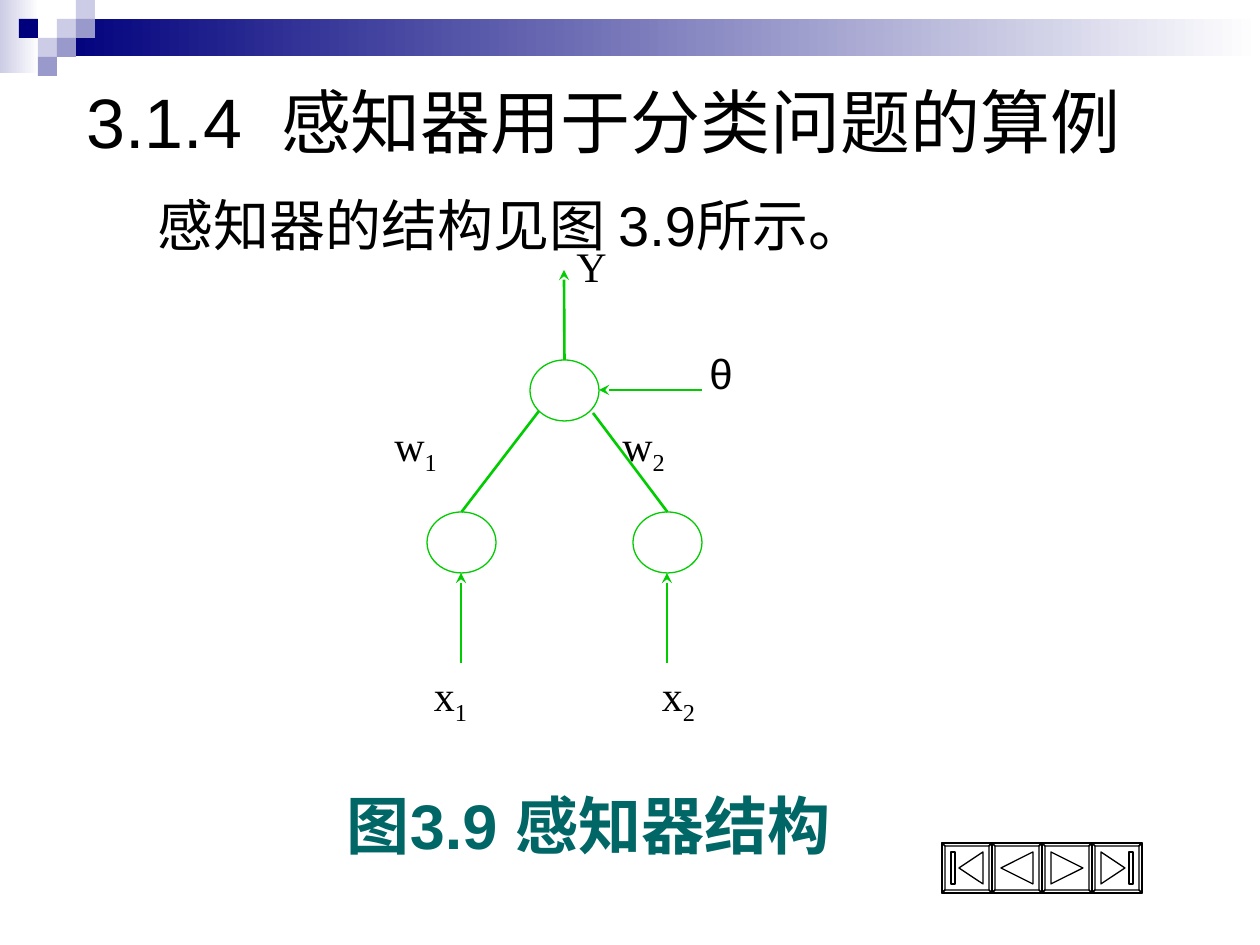
from pptx import Presentation
from pptx.dml.color import RGBColor
from pptx.enum.shapes import MSO_CONNECTOR, MSO_SHAPE
from pptx.enum.text import MSO_ANCHOR, PP_ALIGN
from pptx.oxml.ns import qn
from pptx.util import Inches, Pt
from lxml.etree import SubElement

SCALE = Inches(10) / 1260

BLACK = RGBColor(0x00, 0x00, 0x00)
WHITE = RGBColor(0xFF, 0xFF, 0xFF)
NAVY = RGBColor(0x00, 0x00, 0x7D)
LAVENDER = RGBColor(0xCC, 0xCC, 0xE6)
PERIWINKLE = RGBColor(0x99, 0x99, 0xCC)
GREEN = RGBColor(0x00, 0xCC, 0x00)
TEAL = RGBColor(0x00, 0x66, 0x66)


def px(length):
    return round(length * SCALE)


def box(*lengths):
    return [px(length) for length in lengths]


def rectangle_points(left, top, right, bottom):
    return [(left, top), (right, top), (right, bottom), (left, bottom)]


def mirrored(contours):
    return [[(50 - x, y) for x, y in contour] for contour in contours]


class PerceptronSlide:
    sans = "Arial"
    serif = "Times New Roman"

    def __init__(self, presentation):
        self.slide = presentation.slides.add_slide(presentation.slide_layouts[5])
        self.shapes = self.slide.shapes

    def style(self, paragraph, size, font, color=BLACK, bold=False):
        paragraph.font.size = Pt(size)
        paragraph.font.name = font
        paragraph.font.bold = bold
        paragraph.font.color.rgb = color

    def title(self, text, left, top, width, height):
        shape = self.shapes.title
        shape.left, shape.top, shape.width, shape.height = box(left, top, width, height)
        frame = shape.text_frame
        frame.text = text
        frame.word_wrap = True
        frame.vertical_anchor = MSO_ANCHOR.MIDDLE
        paragraph = frame.paragraphs[0]
        paragraph.alignment = PP_ALIGN.LEFT
        self.style(paragraph, 40, self.sans)

    def text(self, text, left, top, width, height, size, color=BLACK, bold=False):
        frame = self.shapes.add_textbox(*box(left, top, width, height)).text_frame
        frame.word_wrap = True
        frame.margin_left = frame.margin_right = frame.margin_top = frame.margin_bottom = 0
        paragraph = frame.paragraphs[0]
        paragraph.text = text
        self.style(paragraph, size, self.sans, color, bold)

    def label(self, text, left, top, subscript="", font=serif, alignment=PP_ALIGN.LEFT):
        frame = self.shapes.add_textbox(*box(left, top, 137, 107)).text_frame
        frame.word_wrap = True
        paragraph = frame.paragraphs[0]
        paragraph.alignment = alignment
        paragraph.add_run().text = text
        if subscript:
            run = paragraph.add_run()
            run.text = subscript
            run._r.get_or_add_rPr().set("baseline", "-25000")
        self.style(paragraph, 24, font)

    def block(self, left, top, width, height, color, fade=False):
        shape = self.shapes.add_shape(MSO_SHAPE.RECTANGLE, *box(left, top, width, height))
        shape.shadow.inherit = False
        shape.line.fill.background()
        if fade:
            shape.fill.gradient()
            shape.fill.gradient_angle = 0
            for stop, stop_color in zip(shape.fill.gradient_stops, (color, WHITE)):
                stop.color.rgb = stop_color
        else:
            shape.fill.solid()
            shape.fill.fore_color.rgb = color

    def node(self, left, top):
        shape = self.shapes.add_shape(MSO_SHAPE.OVAL, *box(left, top, 69, 61))
        shape.shadow.inherit = False
        shape.fill.background()
        shape.line.color.rgb = GREEN
        shape.line.width = Pt(0.75)
        return shape

    def link(self, start, end, arrow=True, source=None):
        connector = self.shapes.add_connector(MSO_CONNECTOR.STRAIGHT, *box(*start, *end))
        if source is not None:
            connector.begin_connect(source, 0)
        connector.line.color.rgb = GREEN
        connector.line.width = Pt(1.5)
        if arrow:
            SubElement(connector.line._get_or_add_ln(), qn("a:tailEnd"), type="stealth")
        SubElement(connector._element.spPr, qn("a:effectLst"))

    def button(self, left, top, glyph):
        outer = rectangle_points(0, 0, 50, 50)
        inner = rectangle_points(3, 3, 47, 47)
        bevels = [
            [outer[i], outer[(i + 1) % 4], inner[(i + 1) % 4], inner[i]] for i in range(4)
        ]
        builder = self.shapes.build_freeform(0, 0, scale=SCALE)
        for contour in [outer, *bevels, *glyph]:
            builder.move_to(*contour[0])
            builder.add_line_segments(contour[1:], close=True)
        shape = builder.convert_to_shape(*box(left, top))
        shape.shadow.inherit = False
        shape.fill.solid()
        shape.fill.fore_color.rgb = WHITE
        shape.line.color.rgb = BLACK
        shape.line.width = Pt(0.75)


def main():
    presentation = Presentation()
    presentation.slide_width, presentation.slide_height = box(1260, 945)
    page = PerceptronSlide(presentation)

    page.block(0, 0, 39, 73, LAVENDER, fade=True)
    page.block(57, 19, 1203, 37, NAVY, fade=True)
    for column, row, color in [
        (3, 1, LAVENDER), (4, 0, LAVENDER), (4, 1, PERIWINKLE), (2, 2, LAVENDER),
        (1, 1, NAVY), (3, 2, PERIWINKLE), (2, 3, PERIWINKLE),
    ]:
        page.block(19 * column, 19 * row, 19, 19, color)

    page.title("3.1.4  感知器用于分类问题的算例", 74, 73, 1160, 95)
    page.text("感知器的结构见图 3.9所示。", 157, 191, 900, 82, 32)
    page.text("图3.9 感知器结构", 347, 786, 580, 92, 36, TEAL, bold=True)

    output = page.node(530, 360)
    page.link((564, 360), (564, 270), source=output)
    page.link((702, 390), (599, 390))
    page.label("Y", 564, 234)
    page.label("θ", 697, 341, font=page.sans)

    for number, left, joint, label_left in [
        ("1", 427, (539, 411), 382),
        ("2", 633, (593, 413), 610),
    ]:
        center = left + 34
        neuron = page.node(left, 512)
        page.link((center, 512), joint, arrow=False, source=neuron)
        page.link((center, 663), (center, 573))
        page.label("w", label_left, 413, number)
        page.label("x", label_left, 663, number, alignment=PP_ALIGN.CENTER)

    back = [[(9, 25), (41, 9), (41, 41)]]
    first = [[(17, 25), (41, 9), (41, 41)], rectangle_points(9, 9, 13, 41)]
    for index, glyph in enumerate([first, back, mirrored(back), mirrored(first)]):
        page.button(942 + 50 * index, 843, glyph)

    presentation.save("out.pptx")


if __name__ == "__main__":
    main()
